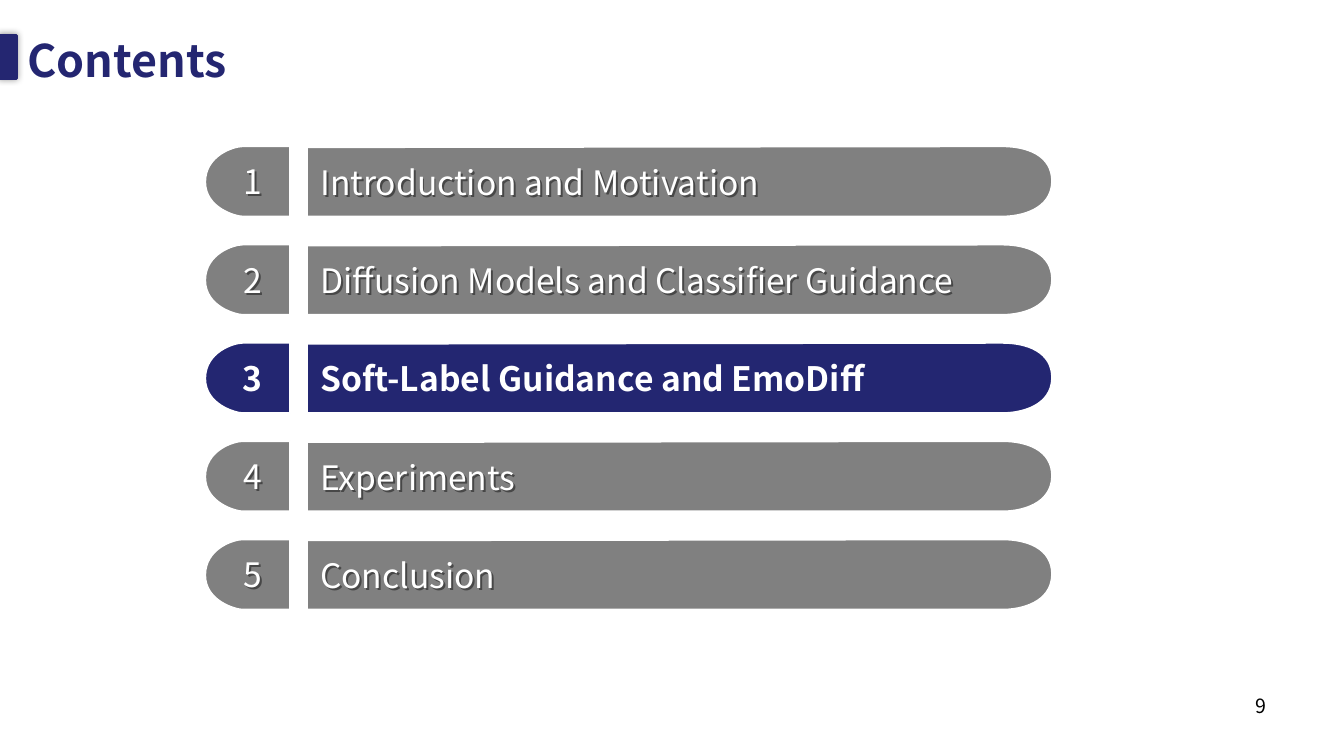
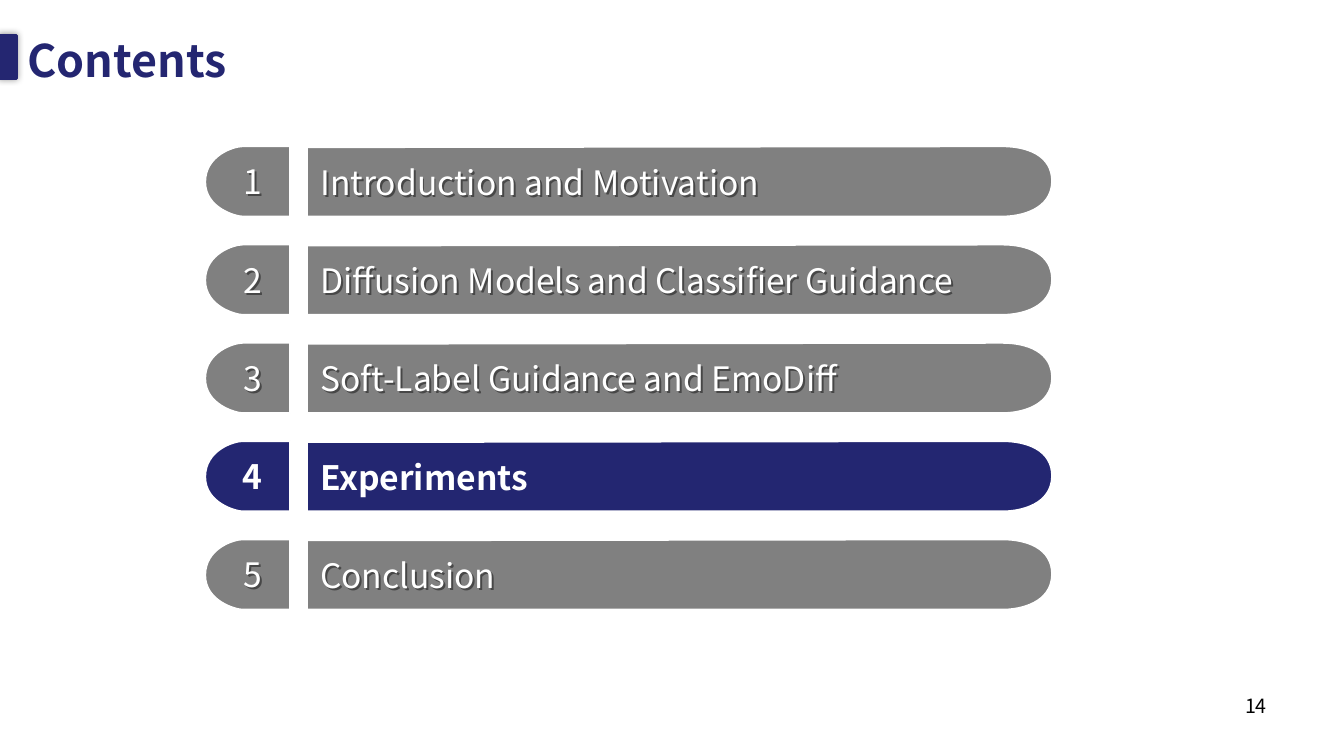
import pptx
import pptx.dml.color
import pptx.enum.shapes
import pptx.enum.text
import pptx.oxml
import pptx.oxml.ns
import pptx.util

Pt = pptx.util.Pt
qn = pptx.oxml.ns.qn
ALIGN = pptx.enum.text.PP_ALIGN
ANCHOR = pptx.enum.text.MSO_ANCHOR

FONT = "Noto Sans CJK SC"
COLOURS = {
    "navy": "242671",
    "highlight": "232671",
    "grey": "808080",
    "white": "FFFFFF",
    "black": "000000",
}

SECTIONS = [
    "Introduction and Motivation",
    "Diffusion Models and Classifier Guidance",
    "Soft-Label Guidance and EmoDiff",
    "Experiments",
    "Conclusion",
]
# Page number and highlighted section of each contents page
PAGES = [(9, 3), (14, 4)]

# Row grid
ROW_TOP, ROW_PITCH, ROW_HEIGHT = 104.4, 70.2, 50.4
CAP_LEFT, BAR_LEFT = 146.5, 219.2

# Outlines relative to the row: each part lists its control points, then its end
CAP_OUTLINE = [
    [(60.7, 0)],
    [(60.7, 25.2), (60.7, 50.4), (60.7, 50.4)],
    [(26.8, 50.4)],
    [(22.3, 50.4), (0, 44.6), (0, 25.6)],
    [(0, 6.4), (20.5, 0), (26.8, 0)],
    [(60.7, 0)],
]
BAR_OUTLINE = [
    [(0, 0.7)],
    [(0, 50.4)],
    [(18, 50.4), (483.5, 50.4), (497, 50.4)],
    [(510.6, 50.4), (531.8, 45.2), (532.4, 25.6)],
    [(532.8, 6), (513.7, 0), (497, 0)],
    [(481, 0), (17.6, 0.7), (0, 0.7)],
]


def colour(name):
    return pptx.dml.color.RGBColor.from_string(COLOURS[name])


def set_shadow(shape, blur, distance, opacity):
    shape.shadow.inherit = False
    effects = shape._element.spPr.find(qn("a:effectLst"))
    effects.append(pptx.oxml.parse_xml(
        f'<a:outerShdw {pptx.oxml.ns.nsdecls("a")} blurRad="{Pt(blur)}"'
        f' dist="{Pt(distance)}" dir="2700000" algn="tl" rotWithShape="0">'
        f'<a:srgbClr val="{COLOURS["black"]}"><a:alpha val="{opacity * 1000}"/></a:srgbClr>'
        "</a:outerShdw>"
    ))


def paint(shape, fill, line, line_width):
    shape.shadow.inherit = False
    shape.fill.solid()
    shape.fill.fore_color.rgb = colour(fill)
    shape.line.color.rgb = colour(line)
    shape.line.width = Pt(line_width)


def add_outline(page, outline, left, top, fill):
    parts = [[(Pt(left + x), Pt(top + y)) for x, y in part] for part in outline]
    builder = page.shapes.build_freeform(*parts[0][-1])
    builder.add_line_segments([part[-1] for part in parts[1:]], close=True)
    shape = builder.convert_to_shape()
    # Turn the segments that have control points into cubic curves
    segments = list(shape._element.iter(qn("a:lnTo")))
    for segment, (*controls, _) in zip(segments, parts[1:]):
        if controls:
            segment.tag = qn("a:cubicBezTo")
            for index, (x, y) in enumerate(controls):
                point = pptx.oxml.parse_xml(
                    f'<a:pt {pptx.oxml.ns.nsdecls("a")}'
                    f' x="{x - shape.left}" y="{y - shape.top}"/>')
                segment.insert(index, point)
    paint(shape, fill, "white", 1.5)


def add_text(page, text, at, size, ink, bold=False, align=ALIGN.LEFT,
             anchor=ANCHOR.MIDDLE, shadowed=False):
    box = page.shapes.add_textbox(*(Pt(length) for length in at))
    frame = box.text_frame
    frame.word_wrap = True
    frame.vertical_anchor = anchor
    frame.text = text
    para = frame.paragraphs[0]
    para.alignment = align
    span = para.runs[0]
    span.font.size = Pt(size)
    span.font.bold = bold
    span.font.color.rgb = colour(ink)
    span.font.name = FONT
    if shadowed:
        set_shadow(box, 0, 2, 43)


def add_frame(page, title, number):
    # Title band, title and page number
    band = page.shapes.add_shape(
        pptx.enum.shapes.MSO_SHAPE.RECTANGLE, Pt(-0.7), Pt(25.2), Pt(12.5), Pt(31))
    paint(band, "navy", "navy", 2)
    set_shadow(band, 5, 0, 40)
    add_text(page, title, (12.5, -9.4, 932, 104.4), 32, "navy", bold=True)
    add_text(page, str(number), (688, 491.8, 224, 37.4), 14, "black",
             align=ALIGN.RIGHT, anchor=ANCHOR.TOP)


def add_section(page, number, text, current):
    top = ROW_TOP + (number - 1) * ROW_PITCH
    fill = "highlight" if current else "grey"
    add_outline(page, BAR_OUTLINE, BAR_LEFT, top, fill)
    add_outline(page, CAP_OUTLINE, CAP_LEFT, top, fill)
    style = {"size": 24, "ink": "white", "bold": current, "shadowed": not current}
    add_text(page, str(number), (CAP_LEFT + 18.7, top + 7.2, 30.4, 36),
             align=ALIGN.CENTER, **style)
    add_text(page, text, (BAR_LEFT + 2.4, top + 8.8, 508, 33.2), **style)


def main():
    deck = pptx.Presentation()
    deck.slide_width, deck.slide_height = Pt(960), Pt(540)
    for page_number, current in PAGES:
        page = deck.slides.add_slide(deck.slide_layouts[6])
        add_frame(page, "Contents", page_number)
        for number, text in enumerate(SECTIONS, start=1):
            add_section(page, number, text, number == current)
    deck.save("out.pptx")


if __name__ == "__main__":
    main()
